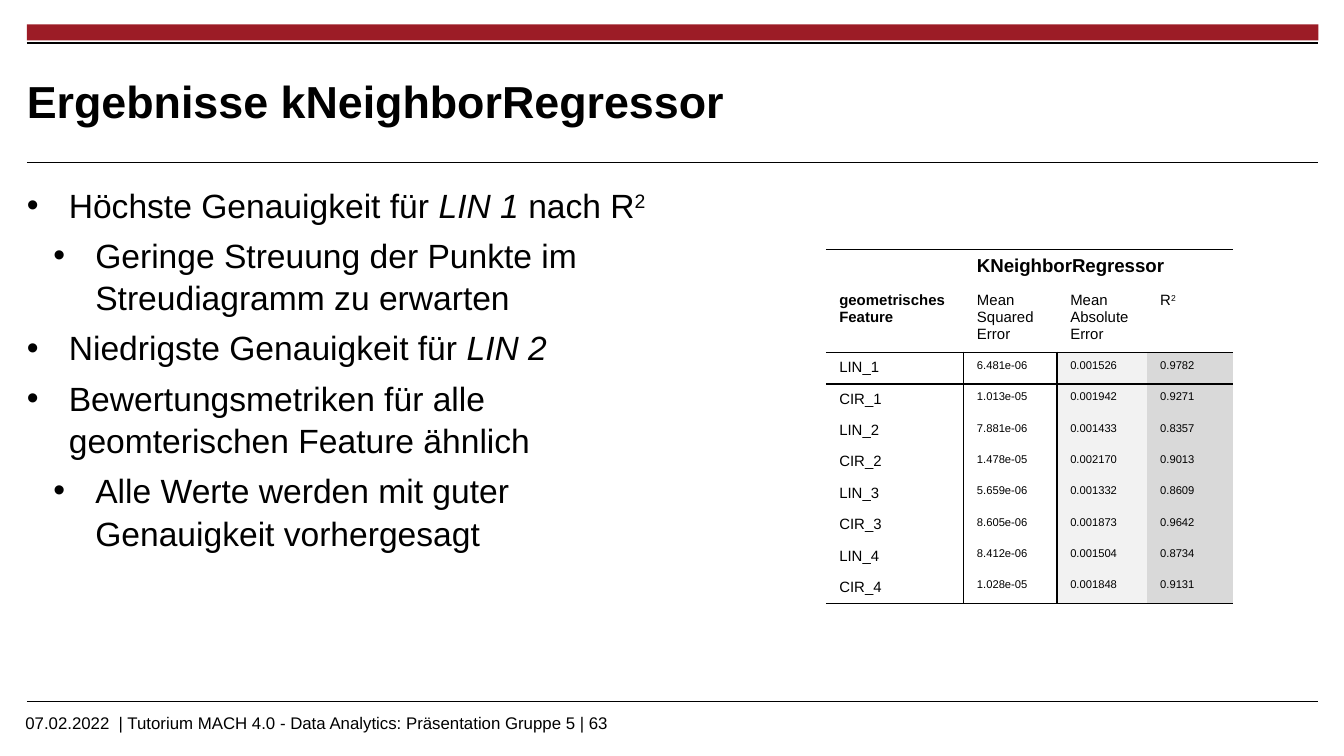
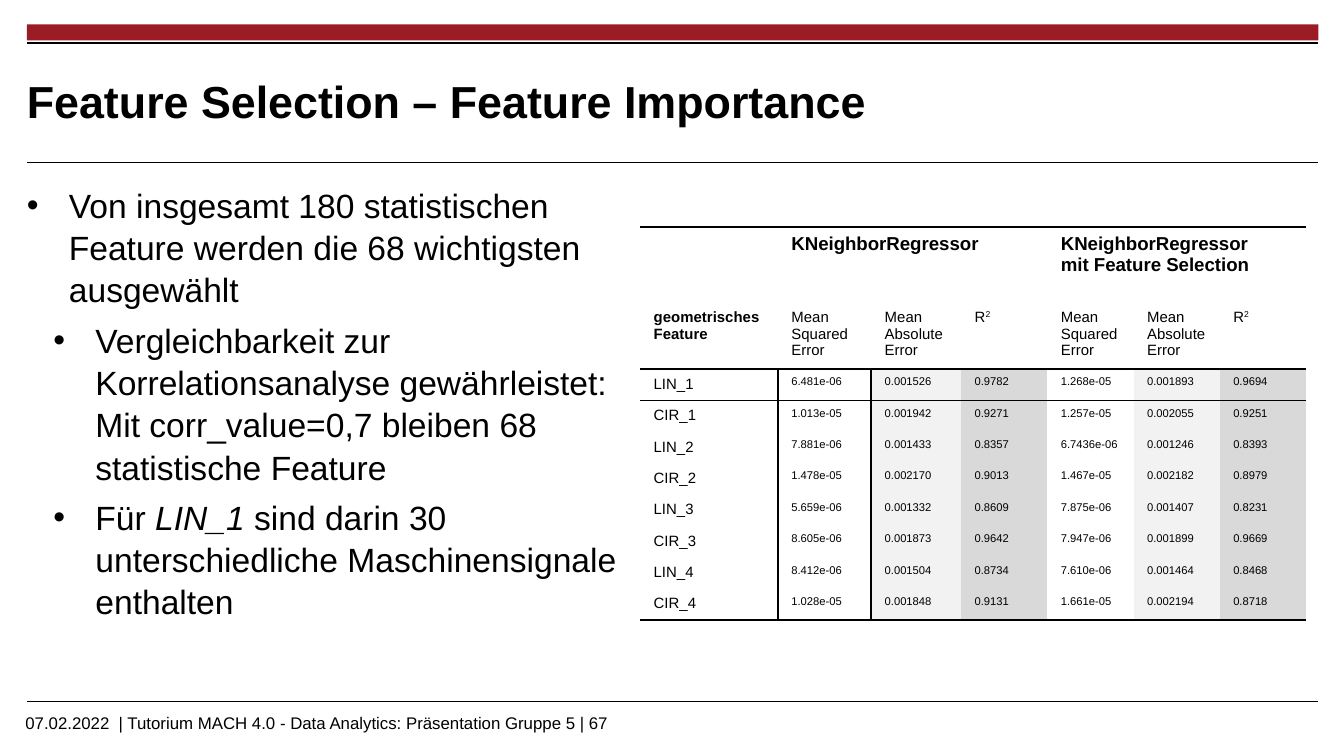
from lxml.etree import SubElement
from pptx import Presentation
from pptx.dml.color import RGBColor as RGB
from pptx.enum.shapes import MSO_CONNECTOR as LINE, MSO_SHAPE as SHAPE
from pptx.enum.text import MSO_ANCHOR as ANCHOR
from pptx.oxml.ns import qn
from pptx.util import Pt

RED = RGB(0x9C, 0x1C, 0x26)
BLACK = RGB(0, 0, 0)
WHITE = RGB(0xFF, 0xFF, 0xFF)
LIGHT = RGB(0xF2, 0xF2, 0xF2)
GREY = RGB(0xD9, 0xD9, 0xD9)
FONT = "Arial"
LEFT, RIGHT = 14.4, 706.3
PLAIN = "{2D5ABB26-0587-4C30-8999-92F81FD0307C}"  # table style without grid
FOOT = "07.02.2022  | Tutorium MACH 4.0 - Data Analytics: Präsentation Gruppe 5 | "

# Table columns shared by both slides
WIDTHS = [73.8, 50, 48.2, 46.2, 46.2, 46.2, 46.2]
FILLS = [WHITE, LIGHT, GREY]
HEADS = ["Mean Squared\nError", "Mean\nAbsolute\nError", "R^2^"]
NAMES = [f"{kind}_{num}" for num in range(1, 5) for kind in ("LIN", "CIR")]
KNN = [
    "6.481e-06 0.001526 0.9782", "1.013e-05 0.001942 0.9271",
    "7.881e-06 0.001433 0.8357", "1.478e-05 0.002170 0.9013",
    "5.659e-06 0.001332 0.8609", "8.605e-06 0.001873 0.9642",
    "8.412e-06 0.001504 0.8734", "1.028e-05 0.001848 0.9131",
]
SELECT = [
    "1.268e-05 0.001893 0.9694", "1.257e-05 0.002055 0.9251",
    "6.7436e-06 0.001246 0.8393", "1.467e-05 0.002182 0.8979",
    "7.875e-06 0.001407 0.8231", "7.947e-06 0.001899 0.9669",
    "7.610e-06 0.001464 0.8468", "1.661e-05 0.002194 0.8718",
]

# Body lines are (level, text); *x* is italic and ^x^ is raised
PAGES = [
    dict(
        title="Ergebnisse kNeighborRegressor", num=63, wide=343.4,
        body=[
            (0, "Höchste Genauigkeit für *LIN 1* nach R^2^"),
            (1, "Geringe Streuung der Punkte im Streudiagramm zu erwarten"),
            (0, "Niedrigste Genauigkeit für *LIN 2*"),
            (0, "Bewertungsmetriken für alle geomterischen Feature ähnlich"),
            (1, "Alle Werte werden mit guter Genauigkeit vorhergesagt"),
        ],
        left=442.4, top=133.6, head=18.2,
        groups=[("KNeighborRegressor", KNN)],
    ),
    dict(
        title="Feature Selection – Feature Importance", num=67, wide=317.5,
        body=[
            (0, "Von insgesamt 180 statistischen Feature werden die "
                "68 wichtigsten ausgewählt"),
            (1, "Vergleichbarkeit zur Korrelationsanalyse gewährleistet: "
                "Mit corr_value=0,7 bleiben 68 statistische Feature"),
            (1, "Für *LIN_1* sind darin 30 unterschiedliche "
                "Maschinensignale enthalten"),
        ],
        left=343, top=121.7, head=40,
        groups=[("KNeighborRegressor", KNN),
                ("KNeighborRegressor\nmit Feature Selection", SELECT)],
    ),
]


def write(par, text, size, bold=False):
    for i, part in enumerate(text.split("*")):
        for j, bit in enumerate(part.split("^")):
            if not bit:
                continue
            run = par.add_run()
            run.text = bit
            font = run.font
            font.name, font.size, font.bold = FONT, Pt(size), bold
            font.italic = i % 2 == 1
            font.color.rgb = BLACK
            if j % 2:
                font._element.set("baseline", "30000")


def edge(cell, sides):
    props = cell._tc.get_or_add_tcPr()
    for at, side in enumerate(s for s in "RTB" if s in sides):
        line = SubElement(props, qn("a:ln" + side), w=str(Pt(1)))
        fill = SubElement(line, qn("a:solidFill"))
        SubElement(fill, qn("a:srgbClr"), val=str(BLACK))
        props.insert(at, line)  # borders come before the fill


prs = Presentation()
prs.slide_width, prs.slide_height = Pt(720), Pt(405)

for page in PAGES:
    slide = prs.slides.add_slide(prs.slide_layouts[6])
    shapes = slide.shapes

    # Band and rules
    band = shapes.add_shape(SHAPE.RECTANGLE, Pt(LEFT), Pt(13),
                            Pt(RIGHT - LEFT), Pt(8.6))
    band.shadow.inherit = False
    band.fill.solid()
    band.fill.fore_color.rgb = RED
    band.line.fill.background()
    for y, weight in [(87.1, 0.6), (23.2, 1.2), (375.8, 0.6)]:
        rule = shapes.add_connector(LINE.STRAIGHT, Pt(LEFT), Pt(y),
                                    Pt(RIGHT), Pt(y))
        rule.line.color.rgb = BLACK
        rule.line.width = Pt(weight)
        SubElement(rule._element.spPr, qn("a:effectLst"))

    # Footer
    foot = shapes.add_textbox(Pt(6.5), Pt(378), Pt(572.4), Pt(13.7))
    foot.text_frame.word_wrap = True
    write(foot.text_frame.paragraphs[0], FOOT + str(page["num"]), 9)

    # Title
    title = shapes.add_textbox(Pt(LEFT), Pt(28.8), Pt(537), Pt(49.7))
    frame = title.text_frame
    frame.word_wrap = True
    frame.vertical_anchor = ANCHOR.MIDDLE
    frame.margin_left = frame.margin_right = 0
    frame.margin_top = frame.margin_bottom = 0
    write(frame.paragraphs[0], page["title"], 24, True)

    # Bullets
    body = shapes.add_textbox(Pt(LEFT), Pt(94.3), Pt(page["wide"]), Pt(268.6))
    frame = body.text_frame
    frame.word_wrap = True
    frame.margin_left = frame.margin_right = 0
    for i, (level, text) in enumerate(page["body"]):
        par = frame.add_paragraph() if i else frame.paragraphs[0]
        par.level = level
        par.line_spacing = 1.05
        par.space_before = Pt(2 if i else 0)
        par.space_after = Pt(2.2)
        props = par._p.get_or_add_pPr()
        props.set("marL", str(Pt(22.5 + 14.2 * level)))
        props.set("indent", str(Pt(-22.5)))
        SubElement(props, qn("a:buFont"), typeface=FONT)
        SubElement(props, qn("a:buChar"), char="•")
        write(par, text, 18)

    # Table contents
    groups = page["groups"]
    rows = [[""], ["geometrisches\u0020Feature"]] + [[name] for name in NAMES]
    for label, data in groups:
        rows[0] += [label, "", ""]
        rows[1] += HEADS
        for row, values in zip(rows[2:], data):
            row += values.split()

    # Table
    cols = len(rows[0])
    high = [page["head"], 35.3] + [16.34] * len(NAMES)
    grid = shapes.add_table(len(rows), cols, Pt(page["left"]), Pt(page["top"]),
                            Pt(sum(WIDTHS[:cols])), Pt(sum(high)))
    table = grid.table
    table.first_row = table.horz_banding = False
    table._tbl.tblPr.find(qn("a:tableStyleId")).text = PLAIN
    for col, width in zip(table.columns, WIDTHS):
        col.width = Pt(width)
    for r, row in enumerate(rows):
        table.rows[r].height = Pt(high[r])
        for c, text in enumerate(row):
            cell = table.cell(r, c)
            size = 10 if r == 0 else 6 if r > 1 and c else 8
            frame = cell.text_frame
            for i, line in enumerate(text.split("\n")):
                par = frame.add_paragraph() if i else frame.paragraphs[0]
                write(par, line, size, r == 0 or (r == 1 and c == 0))
                par._p.get_or_add_endParaRPr().set("sz", str(size * 100))
            if r == 0:
                cell.fill.background()
            else:
                cell.fill.solid()
                shade = FILLS[(c - 1) % 3] if r > 1 and c else WHITE
                cell.fill.fore_color.rgb = shade
            sides = "T" if r == 0 else ""
            if r in (1, 2, len(rows) - 1):
                sides += "B"
            if r > 1 and c < 2:
                sides += "R"
            edge(cell, sides)
    for c in range(1, cols, 3):
        table.cell(0, c).merge(table.cell(0, c + 2))

prs.save("out.pptx")
